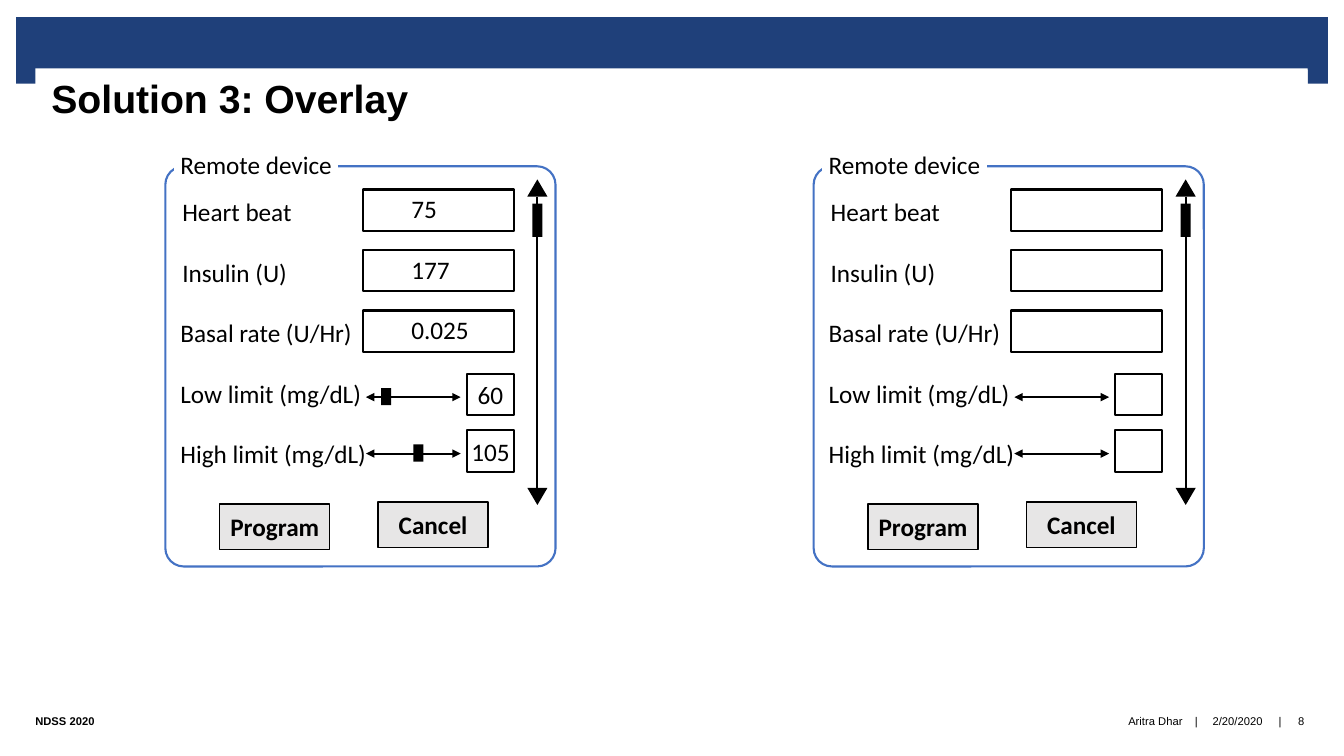
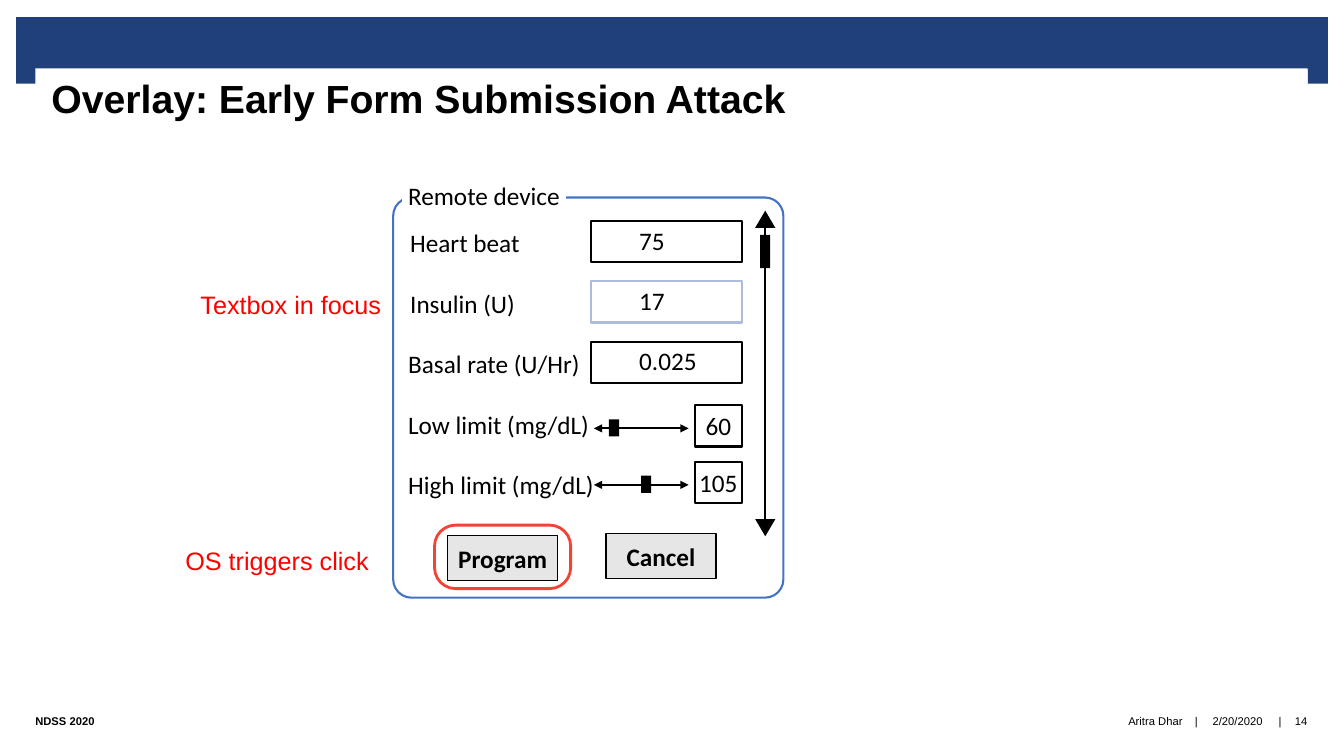
"""Build two slides that show a remote-device form protected by an overlay."""
import dataclasses
import typing

import lxml.etree
import pptx
import pptx.dml.color
import pptx.enum.shapes
import pptx.enum.text
import pptx.oxml.ns
import pptx.util

Inches = pptx.util.Inches
SHAPE = pptx.enum.shapes.MSO_SHAPE
ALIGN = pptx.enum.text.PP_ALIGN
ANCHOR = pptx.enum.text.MSO_ANCHOR


@dataclasses.dataclass(frozen=True)
class Theme:
    """Colours, fonts and type sizes."""
    band: str = "1F407A"
    ink: str = "000000"
    paper: str = "FFFFFF"
    frame: str = "4472C4"
    button: str = "E7E6E6"
    focus: str = "ADBDD9"
    callout: str = "FF0000"
    highlight: str = "F44336"
    slide_font: str = "Arial"
    form_font: str = "Calibri"
    title_size: float = 28
    body_size: float = 18
    footer_size: float = 8


THEME = Theme()


@dataclasses.dataclass(frozen=True)
class Area:
    """A rectangle in inches."""
    left: float
    top: float
    width: float
    height: float

    def lengths(self) -> tuple:
        """Return the four measures as lengths."""
        return tuple(Inches(value) for value in dataclasses.astuple(self))


@dataclasses.dataclass(frozen=True)
class TextStyle:
    """How the text of one box is set."""
    font: str = THEME.form_font
    size: float = THEME.body_size
    color: str = THEME.ink
    bold: bool = False
    align: ALIGN = ALIGN.LEFT
    anchor: ANCHOR = ANCHOR.MIDDLE
    insets: tuple[float, float, float, float] = (0, 0, 0, 0)


@dataclasses.dataclass(frozen=True)
class Limit:
    """A slider with its value and the offset of its thumb."""
    value: str
    thumb: float


@dataclasses.dataclass(frozen=True)
class Form:
    """A remote-device form and what it holds."""
    left: float
    top: float
    values: tuple[str, ...] = ("", "", "")
    limits: tuple[typing.Optional[Limit], ...] = (None, None)
    focused: typing.Optional[int] = None


@dataclasses.dataclass(frozen=True)
class Footer:
    """One piece of footer text."""
    text: str
    left: float
    width: float
    align: ALIGN = ALIGN.CENTER
    bold: bool = False


LABELS = ("Heart beat", "Insulin (U)", "Basal rate (U/Hr)", "Low limit (mg/dL)", "High limit (mg/dL)")
LIMITS = (Limit("60", 2.14), Limit("105", 2.46))
FOOTERS = (
    Footer("|", 12.62, 0.15),
    Footer("|", 11.79, 0.15),
    Footer("NDSS 2020", 0.35, 6.31, ALIGN.LEFT, True),
    Footer("2/20/2020", 11.94, 0.67),
    Footer("Aritra Dhar", 6.66, 5.07, ALIGN.RIGHT),
)
BANDS = (Area(0.16, 0.17, 13.01, 0.52), Area(0.16, 0.65, 0.2, 0.18), Area(12.97, 0.65, 0.2, 0.18))
TITLE = TextStyle(THEME.slide_font, THEME.title_size, bold=True, anchor=ANCHOR.TOP, insets=(0.16, 0.06, 0.16, 0))
LABEL = TextStyle(anchor=ANCHOR.TOP, insets=(0.1, 0.05, 0.1, 0.05))
CALLOUT = dataclasses.replace(LABEL, font=THEME.slide_font, color=THEME.callout)
FIELD_VALUE = TextStyle(insets=(0.48, 0, 0, 0.03))
LIMIT_VALUE = TextStyle(align=ALIGN.CENTER)
BUTTON = TextStyle(bold=True, align=ALIGN.CENTER)
ROW_PITCH = 0.6
LIMIT_PITCH = 0.56


def rgb(color: str) -> pptx.dml.color.RGBColor:
    """Convert a hex colour."""
    return pptx.dml.color.RGBColor.from_string(color)


def write(box, text: str, style: TextStyle) -> None:
    """Set the text of a box."""
    frame = box.text_frame
    frame.word_wrap = True
    frame.vertical_anchor = style.anchor
    frame.margin_left, frame.margin_top, frame.margin_right, frame.margin_bottom = map(Inches, style.insets)
    para = frame.paragraphs[0]
    para.text = text
    para.alignment = style.align
    para.font.name = style.font
    para.font.size = pptx.util.Pt(style.size)
    para.font.bold = style.bold
    para.font.color.rgb = rgb(style.color)


def add_text(shapes, area: Area, text: str, style: TextStyle) -> None:
    """Add a text box."""
    write(shapes.add_textbox(*area.lengths()), text, style)


def add_box(shapes, area: Area, fill: typing.Optional[str] = None, line: typing.Optional[str] = None,
            weight: float = 1.5, kind: SHAPE = SHAPE.RECTANGLE):
    """Add a preset shape with its fill and outline."""
    box = shapes.add_shape(kind, *area.lengths())
    box.shadow.inherit = False
    if fill:
        box.fill.solid()
        box.fill.fore_color.rgb = rgb(fill)
    else:
        box.fill.background()
    if line:
        box.line.color.rgb = rgb(line)
        box.line.width = pptx.util.Pt(weight)
    else:
        box.line.fill.background()
    return box


def add_line(shapes, start: tuple[float, float], end: tuple[float, float], arrows: bool = False) -> None:
    """Add a straight line, with arrowheads at both ends if asked."""
    line = shapes.add_connector(pptx.enum.shapes.MSO_CONNECTOR.STRAIGHT, *map(Inches, start + end))
    line.line.color.rgb = rgb(THEME.ink)
    line.line.width = pptx.util.Pt(1.5)
    properties = line._element.spPr
    if arrows:
        for name in ("a:headEnd", "a:tailEnd"):
            lxml.etree.SubElement(properties.get_or_add_ln(), pptx.oxml.ns.qn(name), type="triangle")
    lxml.etree.SubElement(properties, pptx.oxml.ns.qn("a:effectLst"))


def add_scrollbar(shapes, left: float, top: float) -> None:
    """Add the vertical scrollbar of a form."""
    center = left + 0.1
    add_box(shapes, Area(left, top, 0.2, 0.17), THEME.ink, kind=SHAPE.ISOSCELES_TRIANGLE)
    down = add_box(shapes, Area(left, top + 3.06, 0.2, 0.17), THEME.ink, kind=SHAPE.ISOSCELES_TRIANGLE)
    down.rotation = 180
    add_line(shapes, (center, top + 0.17), (center, top + 3.06))
    add_box(shapes, Area(center - 0.05, top + 0.24, 0.1, 0.33), THEME.ink)


def add_form(page, form: Form) -> None:
    """Add a remote-device form as one group."""
    shapes = page.shapes.add_group_shape().shapes
    left, top = form.left, form.top
    panel = add_box(shapes, Area(left, top, 3.87, 3.97), THEME.paper, THEME.frame, kind=SHAPE.ROUNDED_RECTANGLE)
    panel.adjustments[0] = 0.047
    add_box(shapes, Area(left + 0.09, top - 0.05, 1.62, 0.18), THEME.paper, THEME.paper, 1)
    add_text(shapes, Area(left + 0.05, top - 0.22, 1.73, 0.4), "Remote device", LABEL)
    for row, label in enumerate(LABELS):
        indent = 0.07 if row < 2 else 0.05
        add_text(shapes, Area(left + indent, top + 0.25 + row * ROW_PITCH, 2.15, 0.4), label, LABEL)
    for row, value in enumerate(form.values):
        line = THEME.focus if row == form.focused else THEME.ink
        field = add_box(shapes, Area(left + 1.96, top + 0.23 + row * ROW_PITCH, 1.5, 0.41), THEME.paper, line)
        if value:
            write(field, value, FIELD_VALUE)
    for row, limit in enumerate(form.limits):
        middle = top + 2.29 + row * LIMIT_PITCH
        add_line(shapes, (left + 1.99, middle), (left + 2.93, middle), arrows=True)
        field = add_box(shapes, Area(left + 2.99, middle - 0.23, 0.47, 0.41), THEME.paper, THEME.ink)
        if limit:
            add_box(shapes, Area(left + limit.thumb, middle - 0.09, 0.1, 0.17), THEME.ink)
            write(field, limit.value, LIMIT_VALUE)
    add_scrollbar(shapes, left + 3.59, top + 0.13)
    for text, across, down in (("Program", 0.54, 3.35), ("Cancel", 2.11, 3.33)):
        button = add_box(shapes, Area(left + across, top + down, 1.09, 0.45), THEME.button, THEME.ink, 1)
        write(button, text, BUTTON)


def add_page(deck, title: str, number: int):
    """Add a slide with bands, footer and title."""
    page = deck.slides.add_slide(deck.slide_layouts[6])
    for band in BANDS:
        add_box(page.shapes, band, THEME.band)
    for footer in FOOTERS + (Footer(str(number), 12.71, 0.39),):
        style = TextStyle(THEME.slide_font, THEME.footer_size, bold=footer.bold, align=footer.align)
        add_text(page.shapes, Area(footer.left, 6.9, footer.width, 0.5), footer.text, style)
    write(add_box(page.shapes, Area(0.35, 0.68, 12.62, 1.06), THEME.paper), title, TITLE)
    return page


def main() -> None:
    """Build and save the deck."""
    deck = pptx.Presentation()
    deck.slide_width, deck.slide_height = Inches(13.33), Inches(7.5)

    overlay = add_page(deck, "Solution 3: Overlay", 8)
    add_form(overlay, Form(1.64, 1.65, ("75", "177", "0.025"), LIMITS))
    add_form(overlay, Form(8.07, 1.65))

    attack = add_page(deck, "Overlay: Early Form Submission Attack", 14)
    add_form(attack, Form(3.9, 1.96, ("75", "17", "0.025"), LIMITS, focused=1))
    add_text(attack.shapes, Area(1.89, 2.82, 2.3, 0.4), "Textbox in focus", CALLOUT)
    add_text(attack.shapes, Area(1.74, 5.36, 2.21, 0.4), "OS triggers click", CALLOUT)
    ring = add_box(attack.shapes, Area(4.31, 5.21, 1.35, 0.63), line=THEME.highlight, weight=2,
                   kind=SHAPE.ROUNDED_RECTANGLE)
    ring.adjustments[0] = 0.33

    deck.save("out.pptx")


if __name__ == "__main__":
    main()
